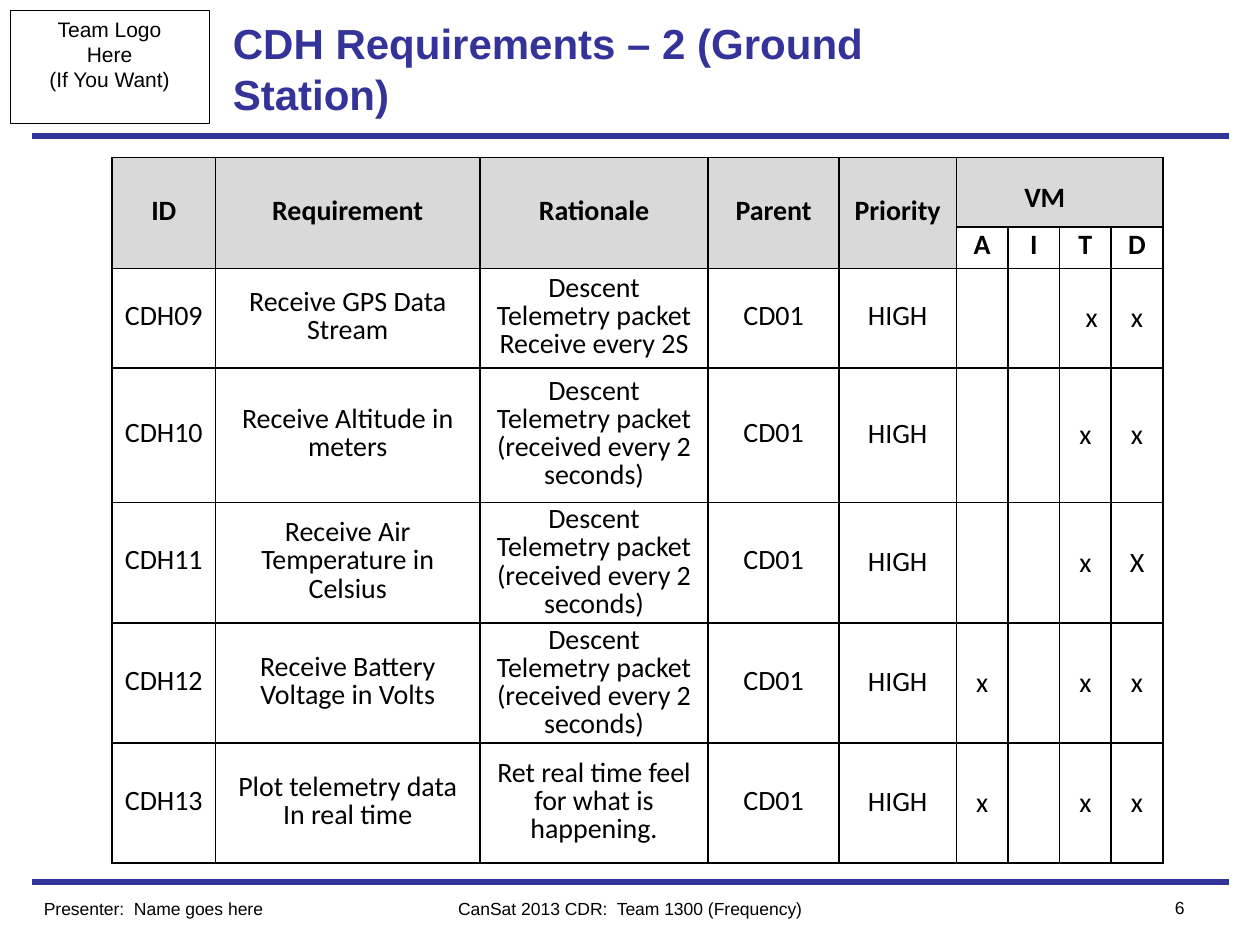
from lxml.etree import SubElement
from pptx import Presentation
from pptx.dml.color import RGBColor
from pptx.enum.shapes import MSO_CONNECTOR, MSO_SHAPE
from pptx.enum.text import MSO_ANCHOR, PP_ALIGN
from pptx.oxml import parse_xml
from pptx.oxml.ns import nsdecls, qn
from pptx.util import Inches, Pt

COLORS = {"navy": "333399", "black": "000000", "header": "D9D9D9"}

TITLE = {"size": Pt(24), "bold": True, "name": "Arial"}
LOGO = {"size": Pt(12), "name": "Arial"}
FOOTER = {"size": Pt(10), "name": "Arial"}
BODY = {"size": Pt(16), "bold": False, "name": "Calibri"}
HEADING = {**BODY, "bold": True}

COLUMN_WIDTHS = [0.82, 2.1, 1.81, 1.04, 0.93] + [0.41] * 4
ROW_HEIGHTS = [0.55, 0.33, 0.79, 1.07, 0.95, 0.95, 0.95]
HEADINGS = ["ID", "Requirement", "Rationale", "Parent", "Priority"]
METHODS = "AITD"
FIRST_METHOD = len(HEADINGS)
TELEMETRY = "Descent Telemetry packet (received every 2 seconds)"
# ID, requirement, rationale, marks by verification method
REQUIREMENTS = [
    ("CDH09", "Receive GPS Data Stream",
     "Descent Telemetry packet Receive every 2S", {"T": "x", "D": "x"}),
    ("CDH10", "Receive Altitude in meters", TELEMETRY, {"T": "x", "D": "x"}),
    ("CDH11", "Receive Air Temperature in Celsius", TELEMETRY, {"T": "x", "D": "X"}),
    ("CDH12", "Receive Battery Voltage in Volts", TELEMETRY,
     {"A": "x", "T": "x", "D": "x"}),
    ("CDH13", "Plot telemetry data\nIn real time",
     "Ret real time feel for what is happening.", {"A": "x", "T": "x", "D": "x"}),
]


def write_text(frame, text, font, color="black", **paragraph_format):
    frame.text = text
    for paragraph in frame.paragraphs:
        for name, value in paragraph_format.items():
            setattr(paragraph, name, value)
        for run in paragraph.runs:
            for name, value in font.items():
                setattr(run.font, name, value)
            run.font.color.rgb = RGBColor.from_string(COLORS[color])


def add_label(slide, box, text, font, color="black", alignment=PP_ALIGN.LEFT,
              anchor=MSO_ANCHOR.TOP):
    frame = slide.shapes.add_textbox(*map(Inches, box)).text_frame
    frame.word_wrap = True
    frame.vertical_anchor = anchor
    write_text(frame, text, font, color, alignment=alignment)


def add_rule(slide, left, top, width):
    rule = slide.shapes.add_connector(
        MSO_CONNECTOR.STRAIGHT, Inches(left), Inches(top),
        Inches(left + width), Inches(top))
    rule.line.color.rgb = RGBColor.from_string(COLORS["navy"])
    rule.line.width = Pt(3)
    SubElement(rule._element.spPr, qn("a:effectLst"))


def add_header(slide, left, top, width):
    logo = slide.shapes.add_shape(
        MSO_SHAPE.RECTANGLE, Inches(left), Inches(top), Inches(1.58), Inches(0.9))
    logo.shadow.inherit = False
    logo.fill.background()
    logo.line.color.rgb = RGBColor.from_string(COLORS["black"])
    logo.line.width = Pt(0.5)
    logo.text_frame.word_wrap = False
    logo.text_frame.vertical_anchor = MSO_ANCHOR.TOP
    write_text(logo.text_frame, "Team Logo\nHere\n(If You Want)", LOGO,
               alignment=PP_ALIGN.CENTER)
    add_label(slide, (left + 1.67, top, 5.92, 0.92),
              "CDH Requirements – 2 (Ground Station)", TITLE, "navy",
              anchor=MSO_ANCHOR.MIDDLE)
    add_rule(slide, left + 0.17, top + 1, width)


def add_footer(slide, left, top, width):
    add_rule(slide, left, top, width)
    text_top = top + 0.08
    add_label(slide, (left, text_top, 2.5, 0.27), "Presenter:  Name goes here", FOOTER)
    add_label(slide, (left + (width - 4) / 2, text_top, 4, 0.27),
              "CanSat 2013 CDR:  Team 1300 (Frequency)", FOOTER,
              alignment=PP_ALIGN.CENTER)
    add_label(slide, (left + width - 1, text_top - 0.01, 0.75, 0.27), "6", FOOTER,
              alignment=PP_ALIGN.RIGHT)


def add_borders(cell):
    properties = cell._tc.get_or_add_tcPr()
    for index, side in enumerate("LRTB"):
        properties.insert(index, parse_xml(
            f'<a:ln{side} {nsdecls("a")} w="12700"><a:solidFill>'
            f'<a:srgbClr val="{COLORS["black"]}"/></a:solidFill></a:ln{side}>'))


def write_cell(cell, text, font=BODY, margin_top=0.03, **paragraph_format):
    cell.margin_top = Inches(margin_top)
    settings = {"alignment": PP_ALIGN.CENTER, "line_spacing": 0.82, **paragraph_format}
    write_text(cell.text_frame, text, font, **settings)


def fill_headings(table):
    for column, heading in enumerate(HEADINGS):
        table.cell(0, column).merge(table.cell(1, column))
        write_cell(table.cell(0, column), heading, HEADING)
    methods_heading = table.cell(0, FIRST_METHOD)
    methods_heading.merge(table.cell(0, len(COLUMN_WIDTHS) - 1))
    write_cell(methods_heading, "VM", HEADING, margin_top=0.14,
               alignment=PP_ALIGN.LEFT, line_spacing=1.0)
    methods_heading.margin_left = Inches(0.54)
    for column, method in enumerate(METHODS, FIRST_METHOD):
        write_cell(table.cell(1, column), method, HEADING)


def fill_requirements(table):
    for row, (code, requirement, rationale, marks) in enumerate(REQUIREMENTS, 2):
        for column, text in enumerate((code, requirement, rationale, "CD01")):
            write_cell(table.cell(row, column), text)
        priority_format = {} if row == 2 else {"line_spacing": 0.93, "space_after": Pt(10)}
        write_cell(table.cell(row, FIRST_METHOD - 1), "HIGH", **priority_format)
        for column, method in enumerate(METHODS, FIRST_METHOD):
            if method in marks:
                write_cell(table.cell(row, column), marks[method],
                           margin_top=0.05, line_spacing=1.0)
    # The first test mark sits slightly right of centre
    table.cell(2, FIRST_METHOD + METHODS.index("T")).margin_left = Inches(0.2)


def add_requirements_table(slide, left, top):
    table = slide.shapes.add_table(
        len(ROW_HEIGHTS), len(COLUMN_WIDTHS), Inches(left), Inches(top),
        Inches(sum(COLUMN_WIDTHS)), Inches(sum(ROW_HEIGHTS))).table
    table.first_row = table.horz_banding = False
    for column, width in zip(table.columns, COLUMN_WIDTHS):
        column.width = Inches(width)
    for row, height in zip(table.rows, ROW_HEIGHTS):
        row.height = Inches(height)
    for row_index, row in enumerate(table.rows):
        for column_index, cell in enumerate(row.cells):
            cell.vertical_anchor = MSO_ANCHOR.MIDDLE
            if row_index == 0 or row_index == 1 and column_index < FIRST_METHOD:
                cell.fill.solid()
                cell.fill.fore_color.rgb = RGBColor.from_string(COLORS["header"])
            else:
                cell.fill.background()
            add_borders(cell)
    fill_headings(table)
    fill_requirements(table)


def main():
    presentation = Presentation()
    presentation.slide_width = Inches(10)
    presentation.slide_height = Inches(7.5)
    slide = presentation.slides.add_slide(presentation.slide_layouts[6])
    add_header(slide, 0.08, 0.08, 9.5)
    add_requirements_table(slide, 0.89, 1.25)
    add_footer(slide, 0.25, 7, 9.5)
    presentation.save("out.pptx")


if __name__ == "__main__":
    main()
